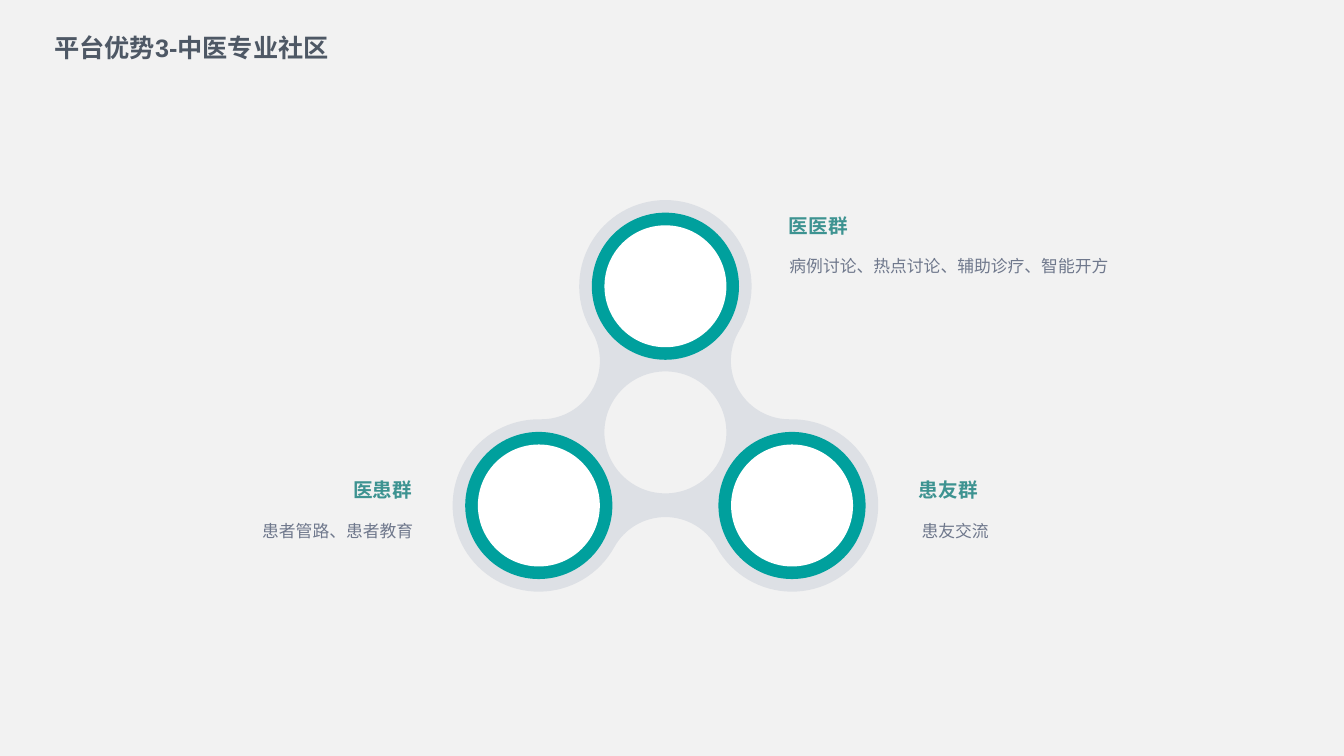
from dataclasses import dataclass
from math import atan2, cos, degrees, pi, radians, sin, tan

from lxml.etree import SubElement
from pptx import Presentation
from pptx.dml.color import RGBColor
from pptx.enum.shapes import MSO_SHAPE
from pptx.enum.text import MSO_AUTO_SIZE, PP_ALIGN
from pptx.oxml.ns import qn
from pptx.util import Inches, Pt

Point = tuple[float, float]
Curve = tuple[Point, Point, Point]

COLORS = {
    "background": "F2F2F2",
    "title": "4E5865",
    "spinner": "DDE0E5",
    "ring": "00A09D",
    "disc": "FFFFFF",
    "heading": "3D9391",
    "body": "6F788C",
}
LATIN = "Arial"
CJK = "Noto Sans CJK SC"
SLIDE_WIDTH, SLIDE_HEIGHT = 13.33, 7.5

HUB = (6.6, 4.29)
LOBE_ANGLES = (-90, 30, 150)
LOBE_DISTANCE, LOBE_RADIUS = 1.45, 0.855
FILLET_DISTANCE, FILLET_RADIUS = 1.42, 0.58
RING_RADIUS, DISC_RADIUS = 0.73, 0.605


@dataclass
class Style:
    size: int
    font: str
    color: str
    bold: bool = False
    align: PP_ALIGN = PP_ALIGN.LEFT
    spacing: float = 1.0
    wrap: bool = True
    inset: bool = True


@dataclass
class Community:
    heading: str
    heading_at: Point
    body: str
    body_at: Point
    body_width: float


TITLE = Style(18, LATIN, "title", bold=True)
HEADING = Style(14, LATIN, "heading", bold=True, align=PP_ALIGN.CENTER, wrap=False)
BODY = Style(12, CJK, "body", align=PP_ALIGN.JUSTIFY, spacing=1.5, inset=False)

COMMUNITIES = [
    Community("医医群", (7.72, 2.07), "病例讨论、热点讨论、辅助诊疗、智能开方", (7.83, 2.44), 3.31),
    Community("医患群", (3.4, 4.69), "患者管路、患者教育", (2.6, 5.07), 1.51),
    Community("患友群", (9.01, 4.69), "患友交流", (9.14, 5.07), 2.8),
]


def rgb(name: str) -> RGBColor:
    return RGBColor.from_string(COLORS[name])


def polar(center: Point, radius: float, angle: float) -> Point:
    a = radians(angle)
    return center[0] + radius * cos(a), center[1] + radius * sin(a)


def arc(center: Point, radius: float, start: float, end: float, parts: int) -> list[Curve]:
    step = (end - start) / parts
    pull = 4 / 3 * tan(radians(step) / 4)
    reach, swing = radius * (1 + pull ** 2) ** 0.5, degrees(atan2(pull, 1))
    return [
        (polar(center, reach, start + i * step + swing),
         polar(center, reach, start + (i + 1) * step - swing),
         polar(center, radius, start + (i + 1) * step))
        for i in range(parts)
    ]


def paint(sp, color: str) -> None:
    sp.shadow.inherit = False
    sp.fill.solid()
    sp.fill.fore_color.rgb = rgb(color)
    sp.line.fill.background()


def add_curved_shape(s, contours: list[list[Curve]], color: str) -> None:
    def emu(point: Point) -> tuple[int, int]:
        return Inches(point[0]), Inches(point[1])

    builder = s.shapes.build_freeform(*emu(contours[0][-1][2]))
    for i, contour in enumerate(contours):
        if i:
            builder.move_to(*emu(contour[-1][2]))
        builder.add_line_segments([emu(end) for _, _, end in contour], close=True)
    sp = builder.convert_to_shape()
    curves = [curve for contour in contours for curve in contour]
    for line, curve in zip(list(sp._element.iter(qn("a:lnTo"))), curves):
        line.tag = qn("a:cubicBezTo")
        line.remove(line[0])
        for x, y in map(emu, curve):
            pt = SubElement(line, qn("a:pt"))
            pt.set("x", str(x - sp.left))
            pt.set("y", str(y - sp.top))
    paint(sp, color)


def add_spinner(s) -> None:
    tangent = degrees(atan2(FILLET_DISTANCE * sin(pi / 3),
                            FILLET_DISTANCE * cos(pi / 3) - LOBE_DISTANCE))
    outline: list[Curve] = []
    for a in LOBE_ANGLES:
        lobe = polar(HUB, LOBE_DISTANCE, a)
        fillet = polar(HUB, FILLET_DISTANCE, a + 60)
        outline += arc(lobe, LOBE_RADIUS, a - tangent, a + tangent, 8)
        outline += arc(fillet, FILLET_RADIUS, a + tangent + 180, a + 300 - tangent, 2)
    hole = arc(HUB, DISC_RADIUS, 360, 0, 4)
    add_curved_shape(s, [outline, hole], "spinner")


def add_preset(s, kind: MSO_SHAPE, at: Point, width: float, height: float, color: str) -> None:
    sp = s.shapes.add_shape(kind, Inches(at[0]), Inches(at[1]), Inches(width), Inches(height))
    paint(sp, color)


def add_circle(s, center: Point, radius: float, color: str) -> None:
    corner = (center[0] - radius, center[1] - radius)
    add_preset(s, MSO_SHAPE.OVAL, corner, 2 * radius, 2 * radius, color)


def add_text(s, text: str, at: Point, width: float, height: float, style: Style) -> None:
    sp = s.shapes.add_textbox(Inches(at[0]), Inches(at[1]), Inches(width), Inches(height))
    tf = sp.text_frame
    tf.word_wrap = style.wrap
    tf.auto_size = MSO_AUTO_SIZE.SHAPE_TO_FIT_TEXT
    if not style.inset:
        tf.margin_left = tf.margin_top = tf.margin_right = tf.margin_bottom = 0
    p = tf.paragraphs[0]
    p.alignment = style.align
    p.line_spacing = style.spacing
    r = p.add_run()
    r.text = text
    r.font.size = Pt(style.size)
    r.font.bold = style.bold
    r.font.name = style.font
    r.font.color.rgb = rgb(style.color)
    SubElement(r.font._element, qn("a:ea")).set("typeface", CJK)


def main() -> None:
    prs = Presentation()
    prs.slide_width, prs.slide_height = Inches(SLIDE_WIDTH), Inches(SLIDE_HEIGHT)
    s = prs.slides.add_slide(prs.slide_layouts[6])

    add_preset(s, MSO_SHAPE.RECTANGLE, (0, 0), SLIDE_WIDTH, SLIDE_HEIGHT, "background")
    add_text(s, "平台优势3-中医专业社区", (0.44, 0.27), 2.95, 0.4, TITLE)
    add_spinner(s)
    centers = [polar(HUB, LOBE_DISTANCE, angle) for angle in LOBE_ANGLES]
    for radius, color in ((RING_RADIUS, "ring"), (DISC_RADIUS, "disc")):
        for center in centers:
            add_circle(s, center, radius, color)
    for c in COMMUNITIES:
        add_text(s, c.body, c.body_at, c.body_width, 0.27, BODY)
        add_text(s, c.heading, c.heading_at, 0.79, 0.34, HEADING)

    prs.save("out.pptx")


if __name__ == "__main__":
    main()
